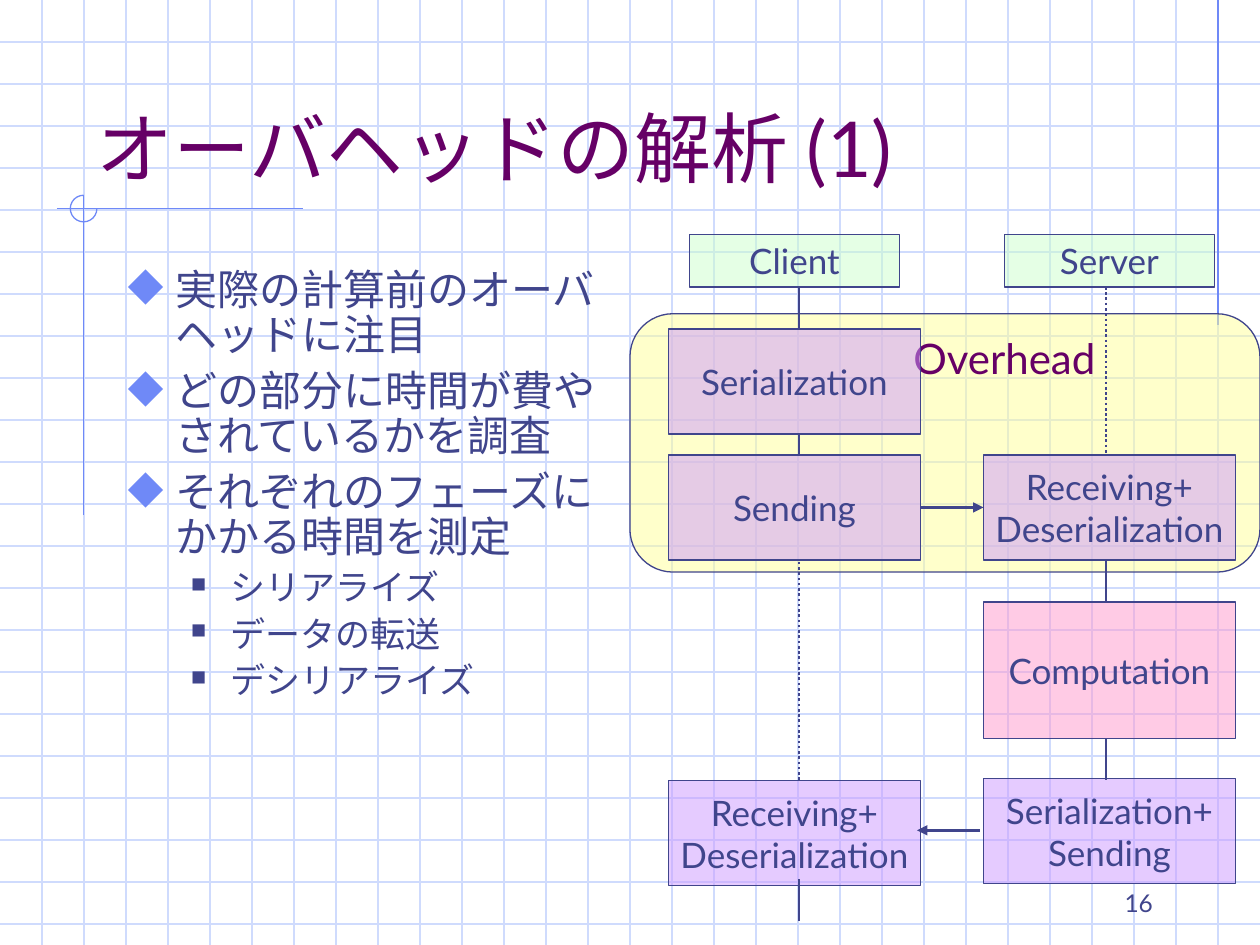
from dataclasses import dataclass

from lxml import etree
from pptx import Presentation
from pptx import util as u
from pptx.dml import color
from pptx.enum import dml, shapes, text
from pptx.oxml import ns


@dataclass(frozen=True)
class Theme:
    font: str = "Lato"
    ink: str = "40458C"
    title: str = "660066"
    accent: str = "6F89F7"
    grid: str = "CFDBFD"
    header: str = "CCFFCC"
    phase: str = "CC99FF"
    compute: str = "FF99CC"
    overhead: str = "FFFF99"
    title_size: int = 44
    body_size: int = 24
    label_size: int = 20
    number_size: int = 14
    thin: float = 0.75
    thick: float = 1.5


THEME = Theme()
WIDTH, HEIGHT, GRID_STEP = 720, 540, 24


def rgb(value):
    return color.RGBColor.from_string(value)


def add_xml(parent, tag, **attributes):
    return etree.SubElement(parent, ns.qn(tag), **attributes)


def add_span(para, words, size, tint=THEME.ink):
    span = para.add_run()
    span.text = words
    span.font.name = THEME.font
    span.font.size = u.Pt(size)
    span.font.color.rgb = rgb(tint)


def set_frame(frame, anchor, wrap=True):
    frame.word_wrap = wrap
    frame.auto_size = text.MSO_AUTO_SIZE.NONE
    frame.vertical_anchor = anchor
    frame.margin_left = frame.margin_right = u.Pt(7.2)
    frame.margin_top = frame.margin_bottom = u.Pt(3.6)


def add_line(page, start, end, tint=THEME.ink, width=THEME.thick, dotted=False, arrow=False):
    line = page.shapes.add_connector(
        shapes.MSO_CONNECTOR.STRAIGHT, *(u.Pt(value) for value in (*start, *end)))
    line.line.color.rgb = rgb(tint)
    line.line.width = u.Pt(width)
    if dotted:
        line.line.dash_style = dml.MSO_LINE.ROUND_DOT
    properties = line.element.spPr
    if arrow:
        add_xml(properties.find(ns.qn("a:ln")), "a:tailEnd", type="triangle")
    add_xml(properties, "a:effectLst")


def add_box(page, kind, place, fill, lines=()):
    box = page.shapes.add_shape(kind, *(u.Pt(value) for value in place))
    box.shadow.inherit = False
    box.fill.solid()
    box.fill.fore_color.rgb = rgb(fill)
    add_xml(box.element.spPr.find(ns.qn("a:solidFill"))[0], "a:alpha", val="50000")
    box.line.color.rgb = rgb(THEME.ink)
    box.line.width = u.Pt(THEME.thin)
    frame = box.text_frame
    set_frame(frame, text.MSO_ANCHOR.MIDDLE, wrap=False)
    for index, words in enumerate(lines):
        para = frame.add_paragraph() if index else frame.paragraphs[0]
        para.alignment = text.PP_ALIGN.CENTER
        add_span(para, words, THEME.label_size)
    return box


def add_backdrop(page, width, height):
    for y in range(GRID_STEP, height, GRID_STEP):
        add_line(page, (0, y), (width, y), THEME.grid, THEME.thin)
    for x in range(GRID_STEP, width, GRID_STEP):
        add_line(page, (x, 0), (x, height), THEME.grid, THEME.thin)
    for start, end in (((696, 0), (696, 186)), ((32.5, 119.2), (173, 119.2)),
                       ((47.8, 111.5), (47.8, 294.5))):
        add_line(page, start, end, THEME.accent, THEME.thin)
    arc = page.shapes.add_shape(
        shapes.MSO_SHAPE.ARC, u.Pt(40.2), u.Pt(111.6), u.Pt(15.2), u.Pt(15.2))
    arc.adjustments[0], arc.adjustments[1] = 0, 162
    arc.shadow.inherit = False
    arc.fill.background()
    arc.line.color.rgb = rgb(THEME.accent)
    arc.line.width = u.Pt(THEME.thin)


def add_title(page, left, top, width, height):
    title = page.shapes.title
    page.shapes.element.append(title.element)
    title.left, title.top, title.width, title.height = map(u.Pt, (left, top, width, height))
    set_frame(title.text_frame, text.MSO_ANCHOR.BOTTOM)
    para = title.text_frame.paragraphs[0]
    para.alignment = text.PP_ALIGN.LEFT
    add_span(para, "オーバヘッドの解析 (1)", THEME.title_size, THEME.title)


def add_points(page, left, top, width, height):
    styles = (
        dict(margin=27, hang=27, before=6, mark="◆", tint=THEME.accent, scale=110,
             size=THEME.body_size),
        dict(margin=58.5, hang=22.5, before=5, mark="■", tint=THEME.ink, scale=60,
             size=THEME.label_size),
    )
    points = (
        (0, "実際の計算前のオーバヘッドに注目"),
        (0, "どの部分に時間が費やされているかを調査"),
        (0, "それぞれのフェーズにかかる時間を測定"),
        (1, "シリアライズ"),
        (1, "データの転送"),
        (1, "デシリアライズ"),
    )
    frame = page.shapes.add_textbox(*map(u.Pt, (left, top, width, height))).text_frame
    set_frame(frame, text.MSO_ANCHOR.TOP)
    for index, (level, words) in enumerate(points):
        style = styles[level]
        para = frame.add_paragraph() if index else frame.paragraphs[0]
        para.level = level
        para.line_spacing = 0.9
        para.space_before = u.Pt(style["before"] if index else 0)
        properties = para._p.get_or_add_pPr()
        properties.set("marL", str(u.Pt(style["margin"])))
        properties.set("indent", str(-u.Pt(style["hang"])))
        add_xml(add_xml(properties, "a:buClr"), "a:srgbClr", val=style["tint"])
        add_xml(properties, "a:buSzPct", val=str(style["scale"] * 1000))
        add_xml(properties, "a:buChar", char=style["mark"])
        add_span(para, words, style["size"])


def add_sequence(page, left, top, width):
    client, server = 22, 202
    client_line, server_line = 96.5, 272
    step_width, step_height = 144, 60
    overhead = add_box(page, shapes.MSO_SHAPE.ROUNDED_RECTANGLE,
                       (left, top + 45.3, width, 147.6), THEME.overhead)
    frame = overhead.text_frame
    set_frame(frame, text.MSO_ANCHOR.TOP)
    frame.margin_left = u.Pt(75)
    frame.paragraphs[0].alignment = text.PP_ALIGN.CENTER
    add_span(frame.paragraphs[0], "Overhead", THEME.body_size, THEME.title)

    for x, name in ((client, "Client"), (server, "Server")):
        add_box(page, shapes.MSO_SHAPE.RECTANGLE, (left + x + 12, top, 120, 30),
                THEME.header, (name,))
    steps = (
        (client, 54, step_height, THEME.phase, ("Serialization",)),
        (client, 126, step_height, THEME.phase, ("Sending",)),
        (server, 126, step_height, THEME.phase, ("Receiving+", "Deserialization")),
        (server, 210, 78, THEME.compute, ("Computation",)),
        (server, 311, step_height, THEME.phase, ("Serialization+", "Sending")),
        (client, 312, step_height, THEME.phase, ("Receiving+", "Deserialization")),
    )
    for x, y, height, fill, lines in steps:
        add_box(page, shapes.MSO_SHAPE.RECTANGLE, (left + x, top + y, step_width, height),
                fill, lines)
    lifelines = (
        (client_line, 30, 54, False), (client_line, 114, 126, False),
        (client_line, 187, 312, True), (client_line, 368.5, 392.5, False),
        (server_line, 30, 126, True), (server_line, 186, 210, False),
        (server_line, 288, 312, False),
    )
    for x, start, end, dotted in lifelines:
        add_line(page, (left + x, top + start), (left + x, top + end), dotted=dotted)
    for start, end, y in ((166, 202, 156), (200, 164, 340.5)):
        add_line(page, (left + start, top + y), (left + end, top + y), arrow=True)


def add_page_number(page, left, top, width, height):
    frame = page.shapes.add_textbox(*map(u.Pt, (left, top, width, height))).text_frame
    set_frame(frame, text.MSO_ANCHOR.BOTTOM)
    frame.paragraphs[0].alignment = text.PP_ALIGN.RIGHT
    add_span(frame.paragraphs[0], "16", THEME.number_size)


def main():
    deck = Presentation()
    deck.slide_width, deck.slide_height = u.Pt(WIDTH), u.Pt(HEIGHT)
    page = deck.slides.add_slide(deck.slide_layouts.get_by_name("Title Only"))
    add_backdrop(page, WIDTH, HEIGHT)
    add_title(page, 48, 24, 612, 90)
    add_points(page, 66, 150, 294, 290)
    add_sequence(page, 360, 134, 360)
    add_page_number(page, 516, 492, 150, 36)
    deck.save("out.pptx")


if __name__ == "__main__":
    main()
